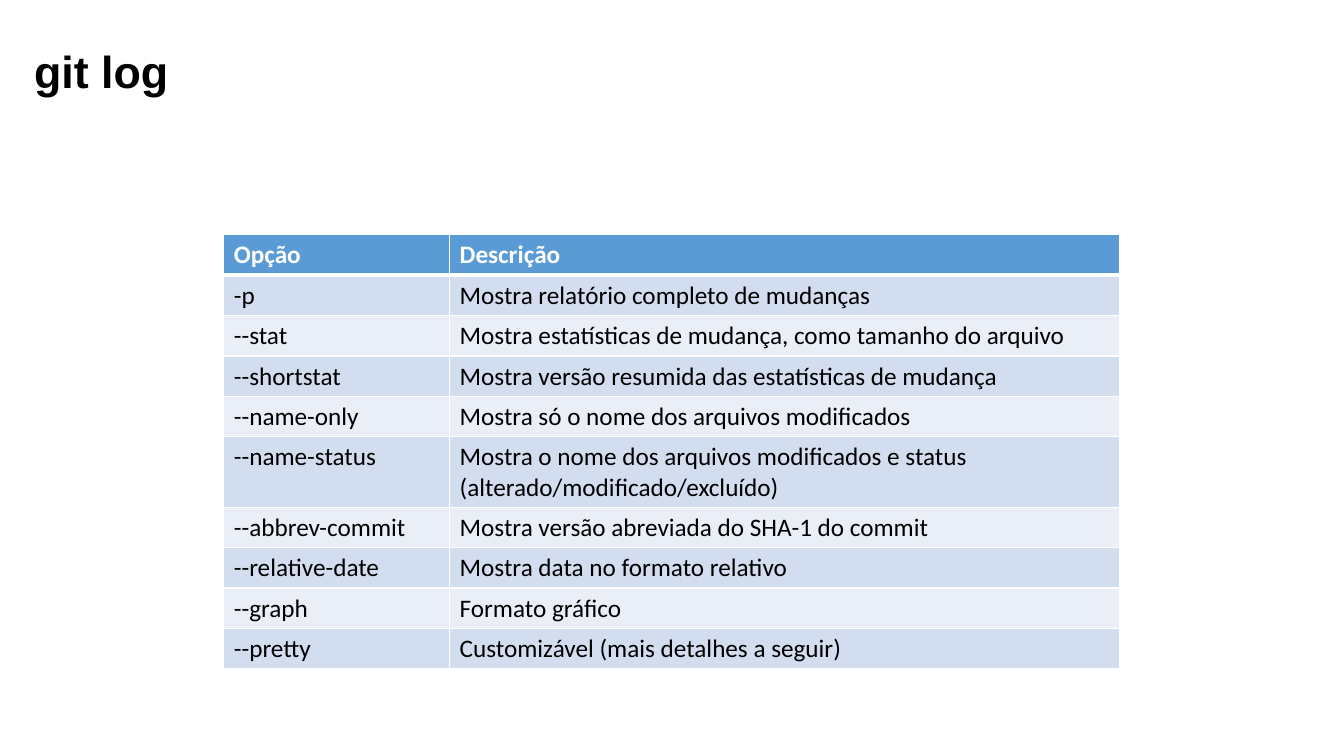
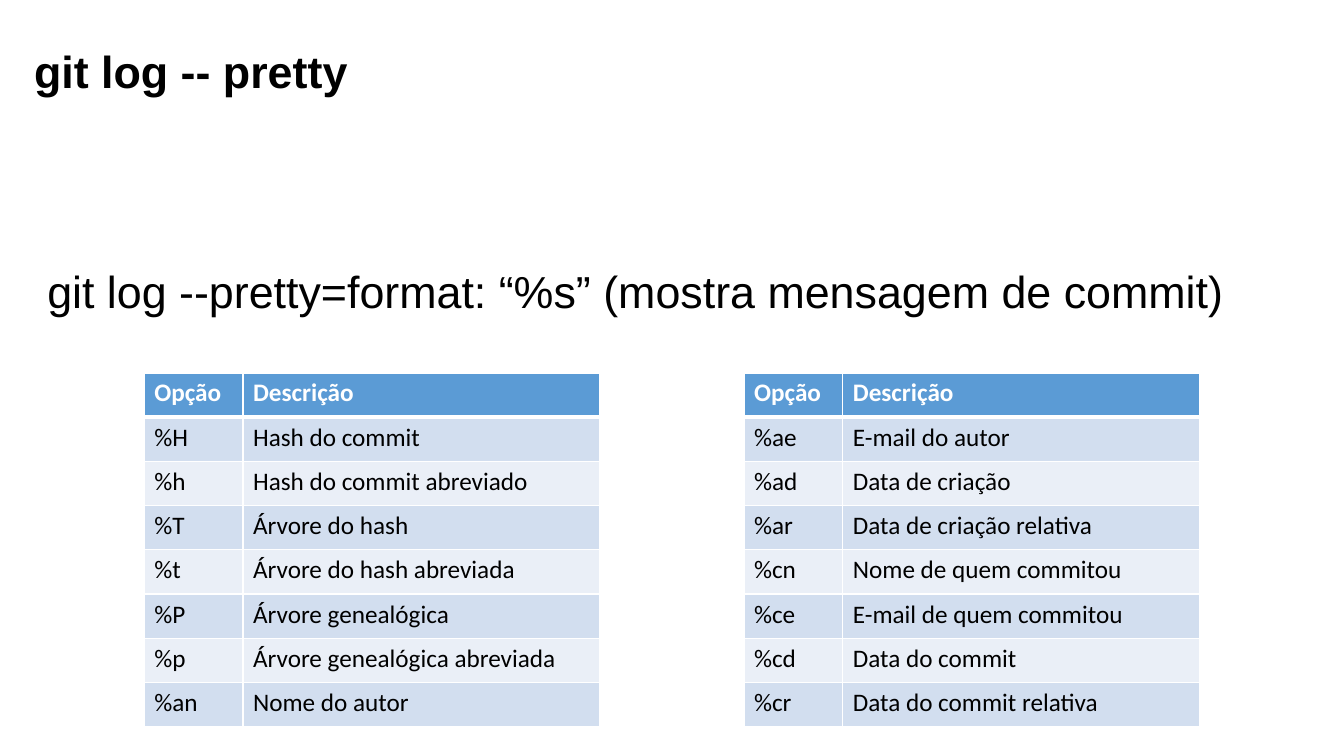
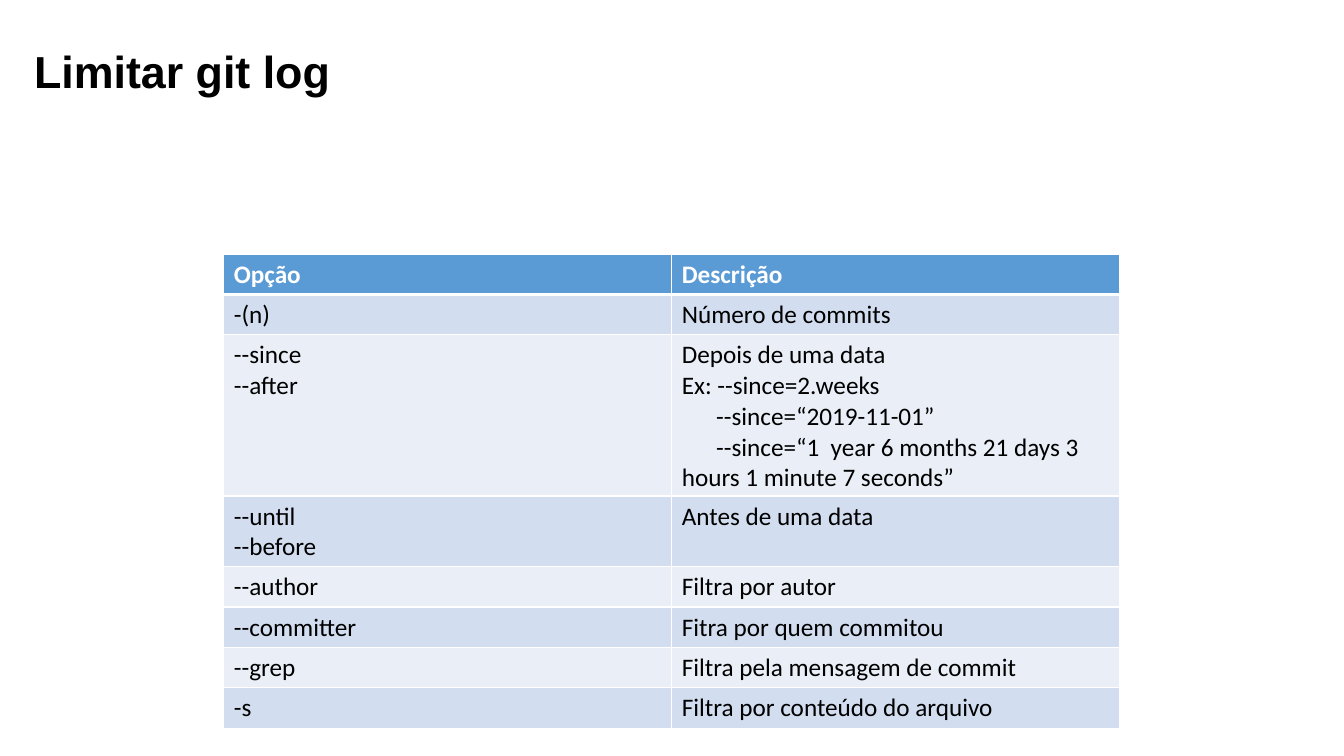
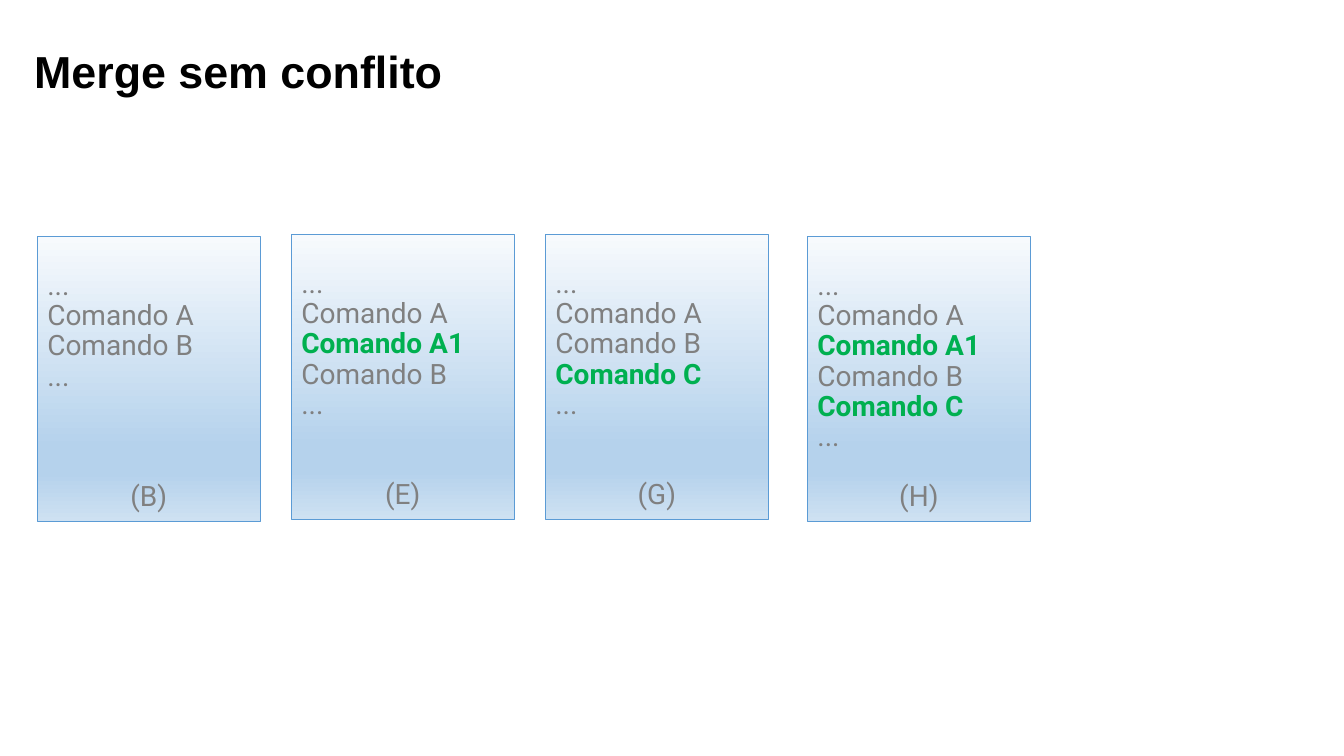
from dataclasses import dataclass

from lxml.etree import SubElement as Sub
from pptx import Presentation
from pptx.dml.color import RGBColor as RGB
from pptx.enum.shapes import MSO_SHAPE as SHAPE
from pptx.enum.text import MSO_ANCHOR as ANCHOR, PP_ALIGN as ALIGN
from pptx.oxml.ns import qn
from pptx.util import Emu, Inches, Pt


@dataclass(frozen=True)
class Theme:
    title_font: str = "Arial"
    table_font: str = "Calibri"
    card_font: str = "Roboto"
    title_size: int = 32
    table_size: int = 18
    card_size: int = 20
    ink: str = "000000"
    paper: str = "FFFFFF"
    accent: str = "5B9BD5"
    bands: tuple = ("D2DEEF", "EAEFF7")
    muted: str = "808080"
    added: str = "00B050"
    # Gradient stops: percent and colour
    card_fill: tuple = ((0, "F7FAFD"), (74, "B5D2EC"), (83, "B5D2EC"), (100, "CEE1F2"))


T = Theme()
WIDTH, HEIGHT = Inches(13.333), Inches(7.5)
HEADER = ("Opção", "Descrição")
INDENT = "\t"  # marks a cell line with an indented start

LOG_OPTIONS = [
    ("-p", "Mostra relatório completo de mudanças"),
    ("--stat", "Mostra estatísticas de mudança, como tamanho do arquivo"),
    ("--shortstat", "Mostra versão resumida das estatísticas de mudança"),
    ("--name-only", "Mostra só o nome dos arquivos modificados"),
    ("--name-status", "Mostra o nome dos arquivos modificados e status "
                      "(alterado/modificado/excluído)"),
    ("--abbrev-commit", "Mostra versão abreviada do SHA-1 do commit"),
    ("--relative-date", "Mostra data no formato relativo"),
    ("--graph", "Formato gráfico"),
    ("--pretty", "Customizável (mais detalhes a seguir)"),
]
HASH_FORMATS = [
    ("%H", "Hash do commit"),
    ("%h", "Hash do commit abreviado"),
    ("%T", "Árvore do hash"),
    ("%t", "Árvore do hash abreviada"),
    ("%P", "Árvore genealógica"),
    ("%p", "Árvore genealógica abreviada"),
    ("%an", "Nome do autor"),
]
PEOPLE_FORMATS = [
    ("%ae", "E-mail do autor"),
    ("%ad", "Data de criação"),
    ("%ar", "Data de criação relativa"),
    ("%cn", "Nome de quem commitou"),
    ("%ce", "E-mail de quem commitou"),
    ("%cd", "Data do commit"),
    ("%cr", "Data do commit relativa"),
]
LIMIT_OPTIONS = [
    ("-(n)", "Número de commits"),
    ("--since\n--after",
     "Depois de uma data\nEx: --since=2.weeks\n"
     f"{INDENT}--since=“2019-11-01”\n"
     f"{INDENT}--since=“1  year 6 months 21 days 3 hours 1 minute 7 seconds”"),
    ("--until\n--before", "Antes de uma data"),
    ("--author", "Filtra por autor"),
    ("--committer", "Fitra por quem commitou"),
    ("--grep", "Filtra pela mensagem de commit"),
    ("-s", "Filtra por conteúdo do arquivo"),
]
# Commit letter, left and top in percent, commands
COMMITS = [
    ("B", 2.78, 31.33, ["Comando A", "Comando B"]),
    ("E", 21.68, 31.07, ["Comando A", "Comando A1", "Comando B"]),
    ("G", 40.58, 31.07, ["Comando A", "Comando B", "Comando C"]),
    ("H", 60.08, 31.33, ["Comando A", "Comando A1", "Comando B", "Comando C"]),
]
NEW_COMMANDS = {"Comando A1", "Comando C"}


# Lengths as percent of the slide
def across(share):
    return Emu(round(WIDTH * share / 100))


def down(share):
    return Emu(round(HEIGHT * share / 100))


def place(x, y, w, h):
    return across(x), down(y), across(w), down(h)


# Text
def style(p, font, size, color, bold=False):
    for r in p.runs:
        r.font.name, r.font.size, r.font.bold = font, Pt(size), bold
        r.font.color.rgb = RGB.from_string(color)


def add_text(s, text, box, bold=False, anchor=ANCHOR.TOP, top=0.05):
    tf = s.shapes.add_textbox(*place(*box)).text_frame
    tf.word_wrap, tf.vertical_anchor, tf.margin_top = True, anchor, Inches(top)
    tf.text = text
    style(tf.paragraphs[0], T.title_font, T.title_size, T.ink, bold)


def add_slide(prs, title):
    s = prs.slides.add_slide(prs.slide_layouts[6])
    add_text(s, title, (1.8, -0.27, 86.27, 19.33), bold=True, anchor=ANCHOR.MIDDLE)
    return s


# Tables
def set_borders(cell, row):
    thick = {0: "lnB", 1: "lnT"}.get(row)
    for side in ("lnL", "lnR", "lnT", "lnB"):
        width = Pt(3 if side == thick else 1)
        ln = Sub(cell._tc.get_or_add_tcPr(), qn(f"a:{side}"), w=str(width))
        Sub(Sub(ln, qn("a:solidFill")), qn("a:srgbClr"), val=T.paper)


def fill_cell(cell, text, row):
    head = row == 0
    set_borders(cell, row)
    cell.fill.solid()
    cell.fill.fore_color.rgb = RGB.from_string(T.accent if head else T.bands[(row - 1) % 2])
    tf = cell.text_frame
    for i, line in enumerate(text.split("\n")):
        p = tf.add_paragraph() if i else tf.paragraphs[0]
        p.text = line.removeprefix(INDENT)
        if line.startswith(INDENT):
            p._p.get_or_add_pPr().set("indent", str(Inches(0.34)))
        style(p, T.table_font, T.table_size, T.paper if head else T.ink, head)


def add_options(s, options, x, y, cols, row_height=5.33):
    rows = [HEADER, *options]
    box = place(x, y, sum(cols), row_height * len(rows))
    table = s.shapes.add_table(len(rows), len(cols), *box).table
    for column, share in zip(table.columns, cols):
        column.width = across(share)
    for i, row in enumerate(rows):
        table.rows[i].height = down(row_height)
        for j, text in enumerate(row):
            fill_cell(table.cell(i, j), text, i)


# Commit cards
def set_gradient(sp, stops):
    sp.fill.gradient()
    sp.fill.gradient_angle = 270
    gs_list = sp._element.spPr.find(qn("a:gradFill")).find(qn("a:gsLst"))
    gs_list.clear()
    for percent, color in stops:
        gs = Sub(gs_list, qn("a:gs"), pos=str(percent * 1000))
        Sub(gs, qn("a:srgbClr"), val=color)


def add_commit(s, name, x, y, commands):
    sp = s.shapes.add_shape(SHAPE.RECTANGLE, *place(x, y, 16.58, 37.6))
    sp.shadow.inherit = False
    set_gradient(sp, T.card_fill)
    sp.line.color.rgb, sp.line.width = RGB.from_string(T.accent), Pt(0.75)
    tf = sp.text_frame
    tf.word_wrap, tf.vertical_anchor, tf.margin_top = True, ANCHOR.TOP, Inches(0.34)
    lines = ["...", *commands, "..."]
    tf.text = "\n".join([*lines, f"({name})"])
    for p in tf.paragraphs:
        new = p.text in NEW_COMMANDS
        p.alignment, p.line_spacing = ALIGN.LEFT, 0.9
        style(p, T.card_font, T.card_size, T.added if new else T.muted, new)
    # The caption sits on the eighth line of every card
    p.alignment, p.space_before = ALIGN.CENTER, Pt(21.5 * (7 - len(lines)))


def main():
    prs = Presentation()
    prs.slide_width, prs.slide_height = WIDTH, HEIGHT

    s = add_slide(prs, "git log")
    add_options(s, LOG_OPTIONS, 16.65, 31.07, (16.8, 49.88))

    s = add_slide(prs, "git log -- pretty")
    add_text(s, "git log --pretty=format: “%s” (mostra mensagem de commit)",
             (2.78, 24, 94.67, 30.13), top=0.82)
    for x, formats in ((10.73, HASH_FORMATS), (55.36, PEOPLE_FORMATS)):
        add_options(s, formats, x, 49.33, (7.35, 26.55), row_height=5.85)

    s = add_slide(prs, "Limitar git log")
    add_options(s, LIMIT_OPTIONS, 16.65, 33.6, (33.33, 33.33))

    s = add_slide(prs, "Merge sem conflito")
    for commit in COMMITS:
        add_commit(s, *commit)

    prs.save("out.pptx")


main()
